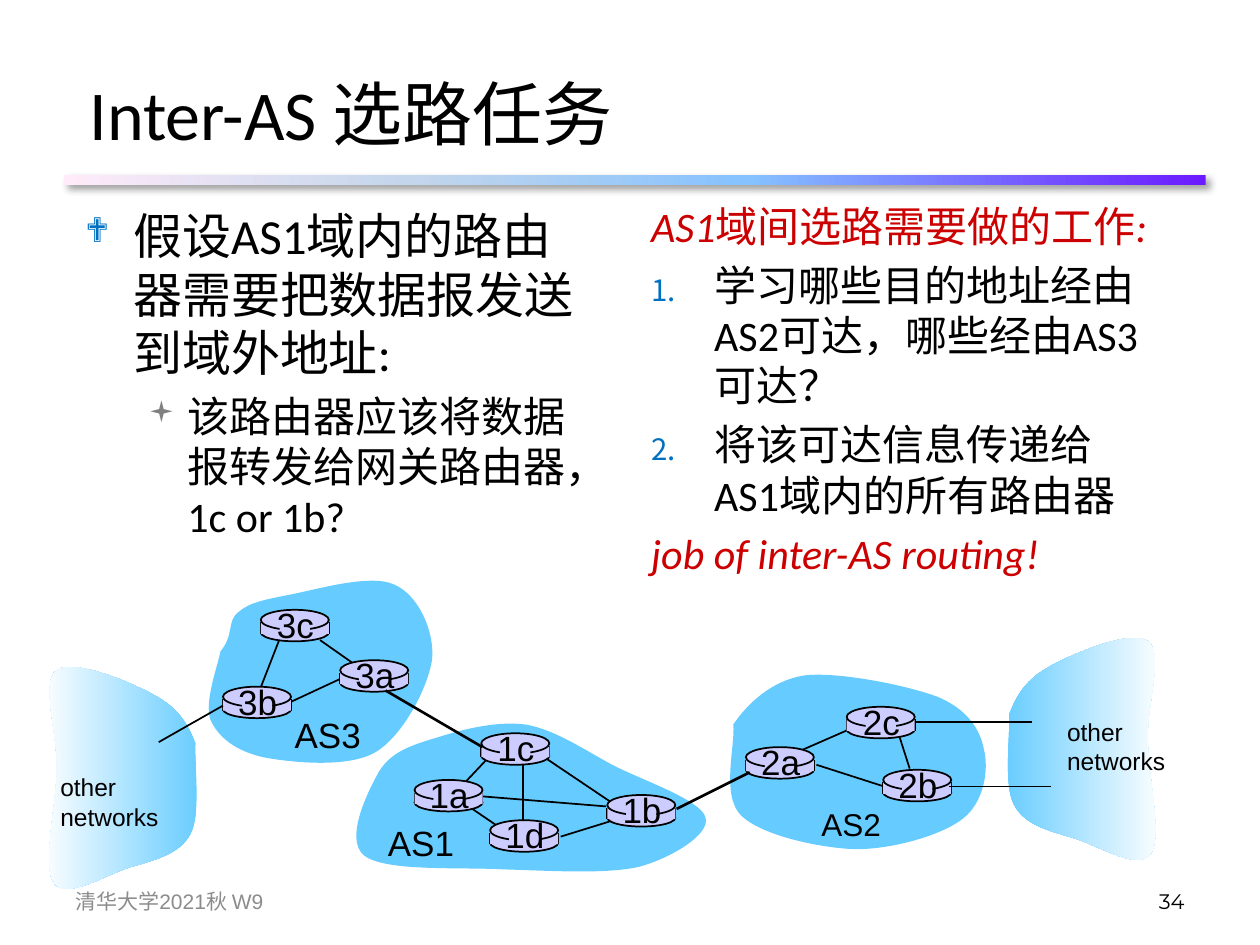
from dataclasses import dataclass
from typing import NamedTuple, Optional

from lxml.etree import SubElement
from pptx import Presentation
from pptx.dml.color import RGBColor
from pptx.enum.shapes import MSO_CONNECTOR as Connector, MSO_SHAPE as Preset
from pptx.enum.text import MSO_ANCHOR as Anchor, PP_ALIGN as Align
from pptx.oxml.ns import qn
from pptx.util import Inches, Pt


@dataclass(frozen=True)
class Theme:
    """Colours, fonts and type sizes of the slide."""
    ink: str = "000000"
    accent: str = "CC0000"
    number: str = "0070C0"
    square: str = "808080"
    footer: str = "8C8C8C"
    cloud: str = "66CCFF"
    router: str = "CCCCFF"
    fade: tuple = ((0, "66CCFF"), (100, "FFFFFF"))
    rule: tuple = ((0, "6B19FF"), (40, "85C2FF"), (70, "C4D6EB"), (100, "FFEBFA"))
    heading_font: str = "Calibri"
    label_font: str = "Arial"
    page_font: str = "Montserrat"
    bullet_font: str = "Wingdings"
    title: int = 40
    lead: int = 28
    body: int = 24
    label: int = 20
    small_label: int = 18
    note: int = 14
    foot: int = 12


T = Theme()


class Item(NamedTuple):
    runs: tuple
    size: int
    margin: float
    hanging: float
    colour: str
    bullet: Optional[str] = None
    bullet_colour: str = ""
    level: int = 0


class Router(NamedTuple):
    name: str
    left: float
    top: float


class Link(NamedTuple):
    x1: float
    y1: float
    x2: float
    y2: float
    width: float = 1


class Label(NamedTuple):
    text: str
    box: tuple
    size: int
    font: str = T.label_font
    colour: str = T.ink
    align: Align = Align.LEFT
    wrap: bool = False
    anchor: Anchor = Anchor.TOP


LEFT_ITEMS = (
    Item((("假设AS1域内的路由器需要把数据报发送到域外地址:", False),),
         T.lead, 0.38, 0.38, T.ink, "❖", T.number),
    Item((("该路由器应该将数据报转发给网关路由器，1c or 1b?", False),),
         T.body, 0.81, 0.31, T.ink, "▪", T.square, 1),
)
RIGHT_ITEMS = (
    Item((("AS1", True), ("域间选路需要做的工作", False), (":", True)), T.body, 0.5, 0.5, T.accent),
    Item((("学习哪些目的地址经由AS2可达，哪些经由AS3可达？", False),),
         T.body, 0.5, 0.5, T.ink, "auto", T.number),
    Item((("将该可达信息传递给AS1域内的所有路由器", False),),
         T.body, 0.5, 0.5, T.ink, "auto", T.number),
    Item((("job of inter-AS routing!", True),), T.body, 0.5, 0.5, T.accent),
)

OTHER_NETWORK = (
    (8.01, 5.67), (8.07, 5.51), (8.15, 5.39), (8.33, 5.29), (8.51, 5.19), (8.98, 4.99), (9.11, 5.09),
    (9.24, 5.18), (9.1, 5.59), (9.11, 5.87), (9.11, 6.16), (9.23, 6.65), (9.13, 6.78),
    (9.04, 6.91), (8.73, 6.72), (8.55, 6.66), (8.36, 6.6), (8.14, 6.56), (8.05, 6.39),
    (7.96, 6.23), (8.02, 5.82), (8.01, 5.67))
MIRRORED_NETWORK = tuple((9.56 - x, y + 0.23) for x, y in OTHER_NETWORK)
AS2 = (
    (5.82, 5.75), (5.93, 5.59), (6.12, 5.4), (6.39, 5.36), (6.66, 5.33), (7.2, 5.44), (7.44, 5.53),
    (7.68, 5.63), (7.78, 5.79), (7.81, 5.95), (7.85, 6.11), (7.81, 6.37), (7.64, 6.5),
    (7.47, 6.63), (7.09, 6.74), (6.79, 6.74), (6.5, 6.73), (6.04, 6.63), (5.88, 6.47),
    (5.72, 6.31), (5.84, 5.9), (5.82, 5.75))
AS3 = (
    (1.75, 5.17), (1.86, 5.04), (1.8, 4.93), (1.89, 4.86), (1.98, 4.78), (2.1, 4.76), (2.3, 4.72),
    (2.51, 4.68), (2.94, 4.55), (3.13, 4.64), (3.32, 4.72), (3.45, 5.01), (3.43, 5.23),
    (3.4, 5.45), (3.2, 5.84), (2.98, 5.97), (2.76, 6.1), (2.3, 6.05), (2.09, 6.01),
    (1.87, 5.96), (1.73, 5.85), (1.67, 5.71), (1.62, 5.57), (1.73, 5.28), (1.75, 5.17))
AS1 = (
    (3.01, 6.12), (3.11, 5.96), (3.28, 5.91), (3.48, 5.85), (3.67, 5.79), (3.94, 5.72), (4.17, 5.75),
    (4.4, 5.79), (4.62, 5.94), (4.86, 6.07), (5.09, 6.19), (5.57, 6.35), (5.6, 6.49),
    (5.64, 6.62), (5.33, 6.81), (5.07, 6.88), (4.8, 6.94), (4.36, 6.91), (4, 6.9),
    (3.64, 6.88), (3.06, 6.92), (2.89, 6.79), (2.73, 6.66), (2.92, 6.28), (3.01, 6.12))

ROUTERS = (
    Router("3b", 1.77, 5.45), Router("3c", 2.07, 4.84), Router("3a", 2.7, 5.24),
    Router("1c", 3.82, 5.82), Router("1a", 3.29, 6.19), Router("1d", 3.89, 6.51),
    Router("1b", 4.82, 6.31), Router("2a", 5.92, 5.93), Router("2c", 6.72, 5.61),
    Router("2b", 7.01, 6.11))
INNER_LINKS = (
    Link(2.31, 5.57, 2.74, 5.37), Link(2.81, 5.27, 2.54, 5.08), Link(2.22, 5.07, 2.06, 5.48),
    Link(3.87, 6.02, 3.7, 6.2), Link(4.15, 6.06, 4.15, 6.56), Link(4.32, 6.01, 4.87, 6.38),
    Link(4.87, 6.51, 4.45, 6.64), Link(4.81, 6.4, 3.82, 6.32), Link(3.72, 6.4, 3.94, 6.55),
    Link(6.28, 5.99, 6.76, 5.78), Link(6.48, 6.07, 7.01, 6.24), Link(7.14, 5.85, 7.22, 6.1))
OUTER_LINKS = (
    Link(7.26, 5.73, 8.19, 5.73, 0.75), Link(7.53, 6.24, 8.34, 6.24, 0.75),
    Link(1.77, 5.6, 1.26, 5.89), Link(5.37, 6.42, 5.95, 6.13, 1.5), Link(3.06, 5.48, 3.83, 5.93, 1.5))
LABELS = (
    Label("AS3", (2.24, 5.61, 0.73, 0.43), T.label),
    Label("AS2", (6.42, 6.34, 0.67, 0.4), T.small_label),
    Label("AS1", (2.98, 6.47, 0.73, 0.43), T.label),
    Label("other\nnetworks", (8.37, 5.64, 0.98, 0.57), T.note),
    Label("other\nnetworks", (0.38, 6.08, 0.98, 0.57), T.note),
    Label("清华大学2021秋 W9", (0.5, 6.95, 2.33, 0.4), T.foot, colour=T.footer,
          wrap=True, anchor=Anchor.MIDDLE),
    Label("34", (7.17, 6.95, 2.33, 0.4), T.foot, T.page_font, align=Align.RIGHT,
          wrap=True, anchor=Anchor.MIDDLE),
)


def inches(values: tuple) -> list:
    """Turn plain numbers into lengths."""
    return [Inches(value) for value in values]


def style_run(run, size: int, font: str, colour: str, italic: bool = False) -> None:
    """Format one run."""
    run.font.size, run.font.name, run.font.italic = Pt(size), font, italic
    run.font.color.rgb = RGBColor.from_string(colour)


def paint(shape, colour: str, outlined: bool = False) -> None:
    """Give a shape a flat fill, with or without a thin outline."""
    shape.shadow.inherit = False
    shape.fill.solid()
    shape.fill.fore_color.rgb = RGBColor.from_string(colour)
    if outlined:
        shape.line.color.rgb, shape.line.width = RGBColor.from_string(T.ink), Pt(1)
    else:
        shape.line.fill.background()


def paint_gradient(shape, stops: tuple, angle: int) -> None:
    """Give a shape a linear gradient without an outline."""
    shape.shadow.inherit = False
    shape.line.fill.background()
    shape.fill.gradient()
    shape.fill.gradient_angle = angle
    stop_list = shape._element.spPr.find(".//" + qn("a:gsLst"))
    for old_stop in list(stop_list):
        stop_list.remove(old_stop)
    for position, colour in stops:
        stop = SubElement(stop_list, qn("a:gs"), pos=str(position * 1000))
        SubElement(stop, qn("a:srgbClr"), val=colour)


def draw_rule(shapes) -> None:
    """Draw the shadowed gradient bar below the title."""
    bar = shapes.add_shape(Preset.RECTANGLE, *inches((0.51, 1.39, 9.06, 0.08)))
    paint_gradient(bar, T.rule, 180)
    effects = bar._element.spPr.find(qn("a:effectLst"))
    shadow = SubElement(effects, qn("a:outerShdw"), blurRad=str(Pt(4)), dist=str(Pt(3)),
                        dir="2700000", algn="tl", rotWithShape="0")
    tint = SubElement(shadow, qn("a:srgbClr"), val=T.ink)
    SubElement(tint, qn("a:alpha"), val="40000")


def draw_cloud(shapes, curve: tuple):
    """Draw a closed outline, joining each three points into a cubic Bézier segment."""
    builder = shapes.build_freeform(*inches(curve[0]), scale=1.0)
    builder.add_line_segments([inches(point) for point in curve[1:]], close=True)
    cloud = builder.convert_to_shape()
    corners = cloud._element.spPr.findall(".//" + qn("a:lnTo"))[:len(curve) - 1]
    for start, first, second in zip(corners[::3], corners[1::3], corners[2::3]):
        start.tag = qn("a:cubicBezTo")
        for corner in (first, second):
            start.append(corner[0])
            corner.getparent().remove(corner)
    return cloud


def draw_link(shapes, link: Link) -> None:
    """Draw a straight line between two points."""
    line = shapes.add_connector(Connector.STRAIGHT, *inches(link[:4]))
    line.line.color.rgb, line.line.width = RGBColor.from_string(T.ink), Pt(link.width)
    SubElement(line._element.spPr, qn("a:effectLst"))


def draw_label(shapes, label: Label) -> None:
    """Draw a text box in a single style."""
    frame = shapes.add_textbox(*inches(label.box)).text_frame
    frame.word_wrap, frame.vertical_anchor = label.wrap, label.anchor
    frame.text = label.text
    for paragraph in frame.paragraphs:
        paragraph.alignment = label.align
        style_run(paragraph.runs[0], label.size, label.font, label.colour)


def draw_router(shapes, router: Router) -> None:
    """Draw a router as a short cylinder with its name on it."""
    x, y = router.left, router.top
    base = shapes.add_shape(Preset.OVAL, *inches((x, y + 0.11, 0.54, 0.14)))
    paint(base, T.router, outlined=True)
    for side in (x, x + 0.54):
        draw_link(shapes, Link(side, y + 0.1, side, y + 0.19))
    paint(shapes.add_shape(Preset.RECTANGLE, *inches((x, y + 0.1, 0.54, 0.09))), T.router)
    lid = shapes.add_shape(Preset.OVAL, *inches((x, y, 0.54, 0.16)))
    paint(lid, T.router, outlined=True)
    paint(shapes.add_shape(Preset.RECTANGLE, *inches((x + 0.15, y + 0.02, 0.24, 0.21))), T.router)
    draw_label(shapes, Label(router.name, (x + 0.02, y - 0.1, 0.51, 0.43), T.label,
                             align=Align.CENTER))


def draw_items(shapes, box: tuple, items: tuple) -> None:
    """Draw a column of bulleted and plain paragraphs."""
    frame = shapes.add_textbox(*inches(box)).text_frame
    frame.word_wrap = True
    for index, item in enumerate(items):
        paragraph = frame.add_paragraph() if index else frame.paragraphs[0]
        paragraph.level, paragraph.space_before = item.level, Pt(item.size * 0.2)
        for text, italic in item.runs:
            run = paragraph.add_run()
            run.text = text
            style_run(run, item.size, T.heading_font, item.colour, italic)
        props = paragraph._p.get_or_add_pPr()
        props.set("marL", str(Inches(item.margin)))
        props.set("indent", str(-Inches(item.hanging)))
        if item.bullet is None:
            SubElement(props, qn("a:buNone"))
            continue
        SubElement(SubElement(props, qn("a:buClr")), qn("a:srgbClr"), val=item.bullet_colour)
        SubElement(props, qn("a:buSzPct"), val="70000")
        if item.bullet == "auto":
            SubElement(props, qn("a:buFont"), typeface=T.heading_font)
            SubElement(props, qn("a:buAutoNum"), type="arabicPeriod")
        else:
            SubElement(props, qn("a:buFont"), typeface=T.bullet_font)
            SubElement(props, qn("a:buChar"), char=item.bullet)


def main() -> None:
    """Build the slide and save it."""
    deck = Presentation()
    deck.slide_width, deck.slide_height = Inches(10), Inches(7.5)
    slide = deck.slides.add_slide(deck.slide_layouts[5])
    shapes = slide.shapes
    draw_rule(shapes)

    title = shapes.title
    title.left, title.top, title.width, title.height = inches((0.61, 0.27, 8.5, 1.25))
    title.text_frame.text = "Inter-AS 选路任务"
    title.text_frame.vertical_anchor = Anchor.MIDDLE
    heading = title.text_frame.paragraphs[0]
    heading.alignment = Align.LEFT
    style_run(heading.runs[0], T.title, T.heading_font, T.ink)

    draw_items(shapes, (0.58, 1.58, 4.17, 3.19), LEFT_ITEMS)
    draw_items(shapes, (5.07, 1.54, 4.17, 3.78), RIGHT_ITEMS)

    for network, angle in ((OTHER_NETWORK, 0), (MIRRORED_NETWORK, 180)):
        paint_gradient(draw_cloud(shapes, network), T.fade, angle)
    for system in (AS2, AS3, AS1):
        paint(draw_cloud(shapes, system), T.cloud)
    for link in INNER_LINKS:
        draw_link(shapes, link)
    for router in ROUTERS:
        draw_router(shapes, router)
    for link in OUTER_LINKS:
        draw_link(shapes, link)
    for label in LABELS:
        draw_label(shapes, label)
    deck.save("out.pptx")


if __name__ == "__main__":
    main()
